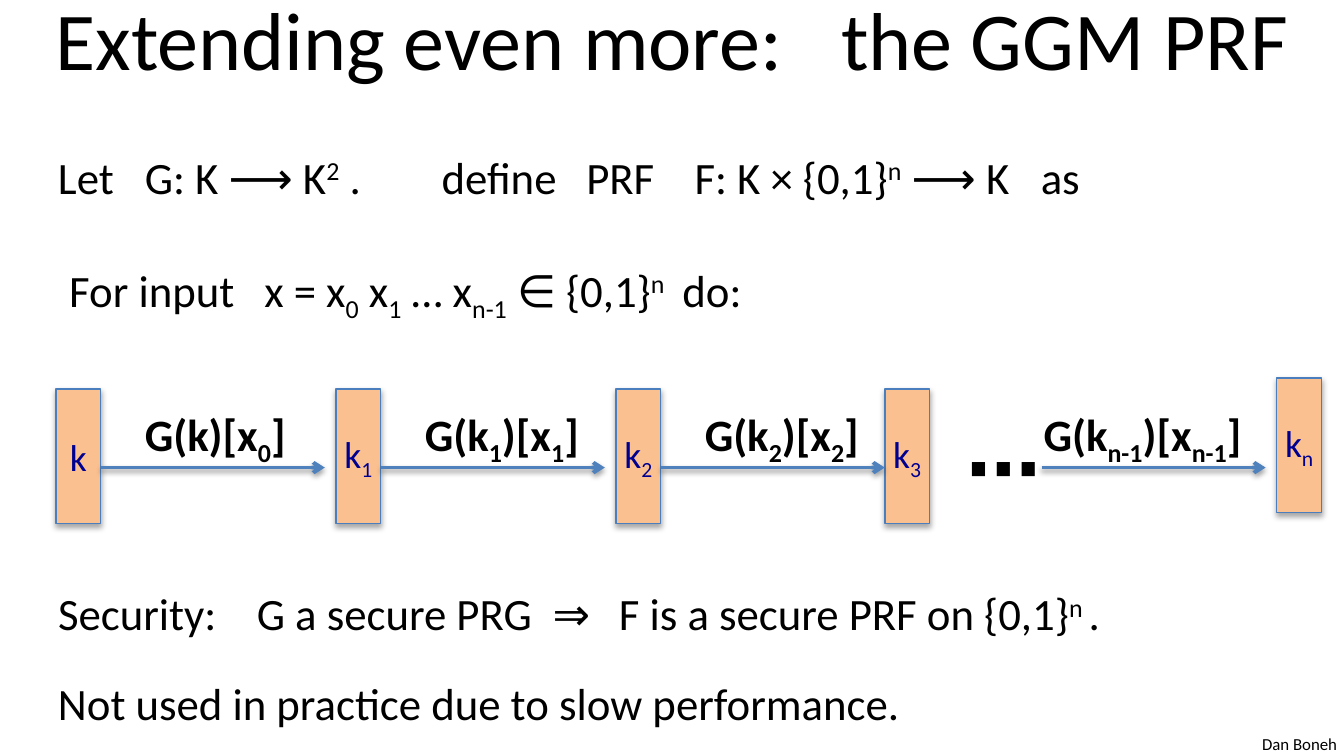
from lxml.etree import SubElement
from pptx import Presentation
from pptx.dml.color import RGBColor
from pptx.enum.shapes import MSO_CONNECTOR, MSO_SHAPE
from pptx.enum.text import MSO_ANCHOR, PP_ALIGN
from pptx.oxml.ns import qn
from pptx.util import Pt

FONT = "Calibri"
BLACK = "000000"
SUB, SUPER = -25000, 30000
BOX_WIDTH, BOX_HEIGHT = 24, 72
ARROW_Y, ARROW_LENGTH = 250.5, 120


def color(value):
    return RGBColor.from_string(value)


def add_runs(paragraph, parts, size, text_color=BLACK, bold=False):
    """Add plain strings, or (string, baseline) pairs, as runs."""
    for part in parts:
        text, baseline = (part, 0) if isinstance(part, str) else part
        run = paragraph.add_run()
        run.text = text
        run.font.name = FONT
        run.font.size = Pt(size)
        run.font.bold = bold
        run.font.color.rgb = color(text_color)
        if baseline:
            run.font._element.set("baseline", str(baseline))


def set_tab_stops(paragraph, stops):
    tab_list = SubElement(paragraph._p.get_or_add_pPr(), qn("a:tabLst"))
    for stop in stops:
        SubElement(tab_list, qn("a:tab"), pos=str(Pt(stop)), algn="l")


def add_shadow(shape, opacity, distance):
    properties = shape._element.spPr
    for old in properties.findall(qn("a:effectLst")):
        properties.remove(old)
    effects = SubElement(properties, qn("a:effectLst"))
    shadow = SubElement(effects, qn("a:outerShdw"), blurRad=str(Pt(3.1)),
                        dist=str(Pt(distance)), dir="5400000", rotWithShape="0")
    shade = SubElement(shadow, qn("a:srgbClr"), val=BLACK)
    SubElement(shade, qn("a:alpha"), val=str(opacity * 1000))


def add_title(slide, text, stops):
    title = slide.shapes.title
    title.left, title.top, title.width, title.height = Pt(18), Pt(-13.5), Pt(684), Pt(67.5)
    title.text_frame.vertical_anchor = MSO_ANCHOR.MIDDLE
    paragraph = title.text_frame.paragraphs[0]
    paragraph.alignment = PP_ALIGN.CENTER
    set_tab_stops(paragraph, stops)
    add_runs(paragraph, [text], 44)


def add_text(slide, left, top, width, height, parts, size=24, bold=False, stops=()):
    box = slide.shapes.add_textbox(Pt(left), Pt(top), Pt(width), Pt(height))
    box.text_frame.word_wrap = bool(stops)
    paragraph = box.text_frame.paragraphs[0]
    if stops:
        set_tab_stops(paragraph, stops)
    add_runs(paragraph, parts, size, bold=bold)


def add_key_box(slide, left, top, parts):
    shape = slide.shapes.add_shape(MSO_SHAPE.RECTANGLE, Pt(left), Pt(top),
                                   Pt(BOX_WIDTH), Pt(BOX_HEIGHT))
    shape.fill.solid()
    shape.fill.fore_color.rgb = color("FAC090")
    shape.line.color.rgb = color("4B7EBC")
    shape.line.width = Pt(0.75)
    add_shadow(shape, 35, 1.8)
    frame = shape.text_frame
    frame.margin_left = frame.margin_right = 0
    frame.vertical_anchor = MSO_ANCHOR.MIDDLE
    paragraph = frame.paragraphs[0]
    paragraph.alignment = PP_ALIGN.CENTER
    add_runs(paragraph, parts, 20, "000090")


def add_step(slide, left, label_left, label_width, parts):
    """Draw an arrow with its function label above it."""
    arrow = slide.shapes.add_connector(MSO_CONNECTOR.STRAIGHT, Pt(left), Pt(ARROW_Y),
                                       Pt(left + ARROW_LENGTH), Pt(ARROW_Y))
    arrow.line.color.rgb = color("4F81BD")
    arrow.line.width = Pt(2)
    SubElement(arrow.line._get_or_add_ln(), qn("a:tailEnd"), type="arrow")
    add_shadow(arrow, 38, 1.6)
    add_text(slide, label_left, 214.5, label_width, 36, parts, bold=True)


def main():
    presentation = Presentation()
    presentation.slide_width, presentation.slide_height = Pt(720), Pt(405)
    slide = presentation.slides.add_slide(presentation.slide_layouts[5])

    add_title(slide, "Extending even more:\tthe GGM PRF", [421])

    # Definition and input
    add_text(slide, 24, 76.5, 648, 72,
             ["Let\tG: K ⟶ K", ("2", SUPER), " .\tdefine\tPRF\tF: K × {0,1}",
              ("n", SUPER), " ⟶ K\tas"], stops=[46.5, 205.5, 283, 341, 526.5])
    add_text(slide, 30, 137, 400, 36,
             ["For input\tx = x", ("0", SUB), " x", ("1", SUB), " … x", ("n-1", SUB),
              " ∈ {0,1}", ("n", SUPER), "\tdo:"], stops=[104.5, 328.5])

    # Chain of keys
    for left, top, index in [(30, 208.5, ""), (180, 208.5, "1"), (330, 208.5, "2"),
                             (474, 208.5, "3"), (684, 202.5, "n")]:
        add_key_box(slide, left, top, ["k", (index, SUB)] if index else ["k"])

    # Steps between the keys
    add_step(slide, 54, 70.5, 91.5, ["G(k)[x", ("0", SUB), "]"])
    for left, label_left, label_width, index in [(204, 220.5, 100, "1"),
                                                 (354, 370.5, 100, "2"),
                                                 (558, 552, 127.5, "n-1")]:
        add_step(slide, left, label_left, label_width,
                 ["G(k", (index, SUB), ")[x", (index, SUB), "]"])
    add_text(slide, 510.5, 222, 34.5, 55.5, ["⋯"], size=40, bold=True)

    # Conclusions
    add_text(slide, 24, 310.5, 600, 36,
             ["Security:\tG a secure PRG\t⇒\tF is a secure PRF on {0,1}",
              ("n ", SUPER), "."], stops=[106.5, 265, 300.5])
    add_text(slide, 24, 358.5, 471, 36, ["Not used in practice due to slow performance."])

    # Author line
    add_text(slide, 669, 389.5, 54.5, 18, ["Dan Boneh"], size=9)

    presentation.save("out.pptx")


if __name__ == "__main__":
    main()
